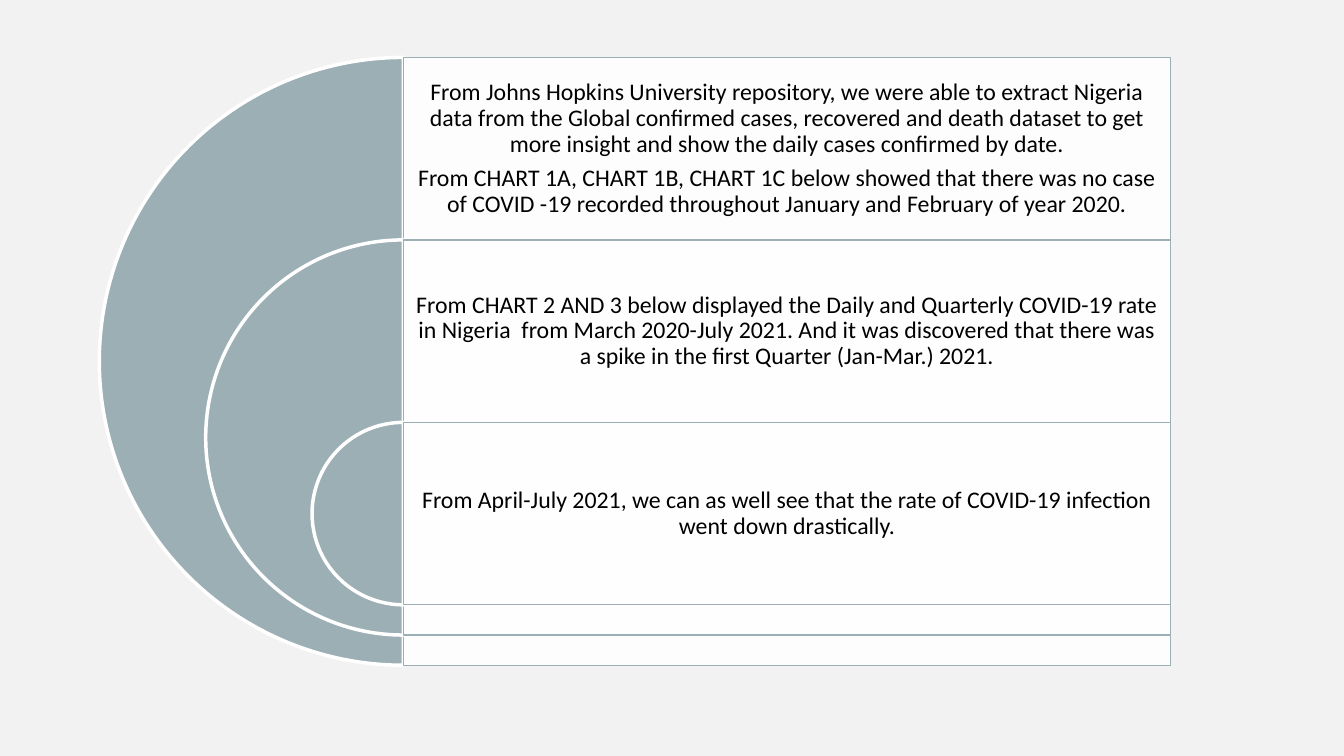
from dataclasses import dataclass

from lxml.etree import SubElement
from pptx import Presentation
from pptx.dml.color import RGBColor
from pptx.enum.shapes import MSO_SHAPE as Preset
from pptx.enum.text import MSO_ANCHOR as Anchor, PP_ALIGN as Align
from pptx.oxml.ns import qn
from pptx.shapes.autoshape import Shape
from pptx.slide import Slide
from pptx.util import Inches, Pt

COLORS = {"background": "F2F2F2", "pie": "9BAFB5", "white": "FFFFFF", "text": "000000"}
CENTER_X = 4.0
PANEL_WIDTH = 7.61
FIRST_TOP = 0.57
BAND_HEIGHT = 1.81
OUTER_DIAMETER = 6.03
DIAMETER_STEP = 2.11


@dataclass(frozen=True)
class Finding:
    """One band of findings with its half circle."""

    top: float
    diameter: float
    paragraphs: tuple[str, ...]


TEXTS = (
    (
        "From Johns Hopkins University repository, we were able to extract Nigeria data from the "
        "Global confirmed cases, recovered and death dataset to get more insight and show the "
        "daily cases confirmed by date.",
        "From CHART 1A, CHART 1B, CHART 1C below showed that there was no case of COVID -19 "
        "recorded throughout January and February of year 2020.",
    ),
    (
        "From CHART 2 AND 3 below displayed the Daily and Quarterly COVID-19 rate in Nigeria  from "
        "March 2020-July 2021. And it was discovered that there was a spike in the first Quarter "
        "(Jan-Mar.) 2021.",
    ),
    (
        "From April-July 2021, we can as well see that the rate of COVID-19 infection went down "
        "drastically.",
    ),
)
FINDINGS = [
    Finding(FIRST_TOP + index * BAND_HEIGHT, OUTER_DIAMETER - index * DIAMETER_STEP, paragraphs)
    for index, paragraphs in enumerate(TEXTS)
]


def color(name: str) -> RGBColor:
    """Return a named colour."""
    return RGBColor.from_string(COLORS[name])


def style(shape: Shape, fill: str, line: str, line_width: float) -> None:
    """Set the fill and outline of a shape and drop its shadow."""
    shape.shadow.inherit = False
    shape.fill.solid()
    shape.fill.fore_color.rgb = color(fill)
    shape.line.color.rgb = color(line)
    shape.line.width = Pt(line_width)


def draw_half_circle(slide: Slide, finding: Finding) -> None:
    """Draw the left half of a circle that ends at the panel edge."""
    diameter = Inches(finding.diameter)
    left = Inches(CENTER_X - finding.diameter / 2)
    shape = slide.shapes.add_shape(Preset.PIE, left, Inches(finding.top), diameter, diameter)
    shape.adjustments[0] = 54
    shape.adjustments[1] = 162
    style(shape, "pie", "white", 2.5)


def draw_panel(slide: Slide, finding: Finding) -> None:
    """Draw the slightly transparent panel beside a half circle."""
    shape = slide.shapes.add_shape(
        Preset.RECTANGLE, Inches(CENTER_X), Inches(finding.top),
        Inches(PANEL_WIDTH), Inches(finding.diameter),
    )
    style(shape, "white", "pie", 1)
    fill_color = shape.fill._xPr.find(qn("a:solidFill"))[0]
    SubElement(fill_color, qn("a:alpha"), val="90000")


def draw_text(slide: Slide, finding: Finding) -> None:
    """Write the findings centred in their band."""
    box = slide.shapes.add_textbox(
        Inches(CENTER_X), Inches(finding.top), Inches(PANEL_WIDTH), Inches(BAND_HEIGHT)
    )
    frame = box.text_frame
    frame.word_wrap = True
    frame.vertical_anchor = Anchor.MIDDLE
    frame.margin_left = frame.margin_right = Inches(0.07)
    frame.margin_top = frame.margin_bottom = Inches(0.07)
    frame.text = "\n".join(finding.paragraphs)
    for paragraph in frame.paragraphs:
        paragraph.alignment = Align.CENTER
        paragraph.line_spacing = 0.9
        paragraph.space_after = Pt(6)
        for run in paragraph.runs:
            run.font.name = "Calibri"
            run.font.size = Pt(17)
            run.font.color.rgb = color("text")


def main() -> None:
    """Build and save the slide."""
    presentation = Presentation()
    presentation.slide_width = Inches(13.33)
    presentation.slide_height = Inches(7.5)
    slide = presentation.slides.add_slide(presentation.slide_layouts[6])
    slide.background.fill.solid()
    slide.background.fill.fore_color.rgb = color("background")
    for finding in FINDINGS:
        draw_half_circle(slide, finding)
        draw_panel(slide, finding)
        draw_text(slide, finding)
    presentation.save("out.pptx")


if __name__ == "__main__":
    main()
